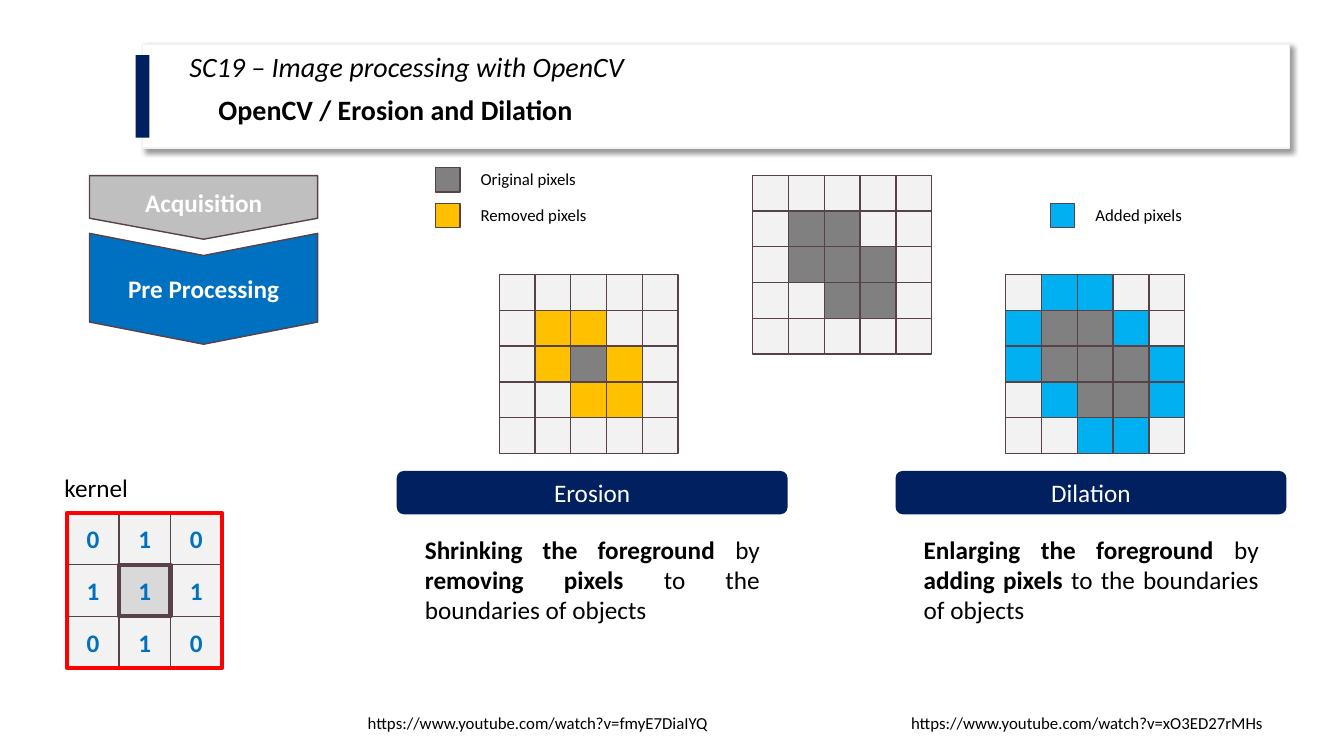
from dataclasses import dataclass
from typing import NamedTuple

from lxml import etree
from pptx import Presentation
from pptx import util as u
from pptx.dml import color
from pptx.enum import shapes, text
from pptx.oxml import ns


@dataclass(frozen=True)
class Theme:
    font: str = "Calibri"
    white: str = "FFFFFF"
    black: str = "000000"
    navy: str = "002060"
    blue: str = "0070C0"
    red: str = "FF0000"
    outline: str = "574249"
    pale: str = "F2F2F2"
    light: str = "D9D9D9"
    silver: str = "BFBFBF"
    original: str = "808080"
    removed: str = "FFC000"
    added: str = "00B0F0"
    title_size: float = 20
    body_size: float = 18
    small_size: float = 12


THEME = Theme()
KIND = shapes.MSO_SHAPE
ALIGN = text.PP_ALIGN
PIXEL_COLORS = {".": THEME.pale, "o": THEME.original, "r": THEME.removed, "a": THEME.added}


class Area(NamedTuple):
    left: float
    top: float
    width: float
    height: float


class Span(NamedTuple):
    words: str
    bold: bool = False
    italic: bool = False


class Label(NamedTuple):
    area: Area
    spans: list[Span]
    size: float = THEME.body_size
    align: ALIGN = ALIGN.LEFT
    spacing: float = 1.0
    grow: bool = True


class Stage(NamedTuple):
    kind: KIND
    area: Area
    point: float
    fill: str
    name: str


class PixelGrid(NamedTuple):
    left: float
    top: float
    rows: list[str]


class LegendEntry(NamedTuple):
    left: float
    top: float
    fill: str
    name: str


class Operation(NamedTuple):
    left: float
    name: str
    spans: list[Span]


def write(frame, spans: list[Span], size: float, ink: str, align, spacing: float = 1.0) -> None:
    para = frame.paragraphs[0]
    para.alignment = align
    para.line_spacing = spacing
    for item in spans:
        span = para.add_run()
        span.text = item.words
        span.font.name = THEME.font
        span.font.size = u.Pt(size)
        span.font.bold = item.bold
        span.font.italic = item.italic
        span.font.color.rgb = color.RGBColor.from_string(ink)


def add_label(page, label: Label) -> None:
    box = page.shapes.add_textbox(*map(u.Pt, label.area))
    frame = box.text_frame
    frame.word_wrap = True
    if label.grow:
        frame.auto_size = text.MSO_AUTO_SIZE.SHAPE_TO_FIT_TEXT
    write(frame, label.spans, label.size, THEME.black, label.align, label.spacing)


def add_block(page, area: Area, fill: str | None, line: str | None = THEME.outline,
              weight: float = 1, kind: KIND = KIND.RECTANGLE):
    block = page.shapes.add_shape(kind, *map(u.Pt, area))
    block.shadow.inherit = False
    if fill:
        block.fill.solid()
        block.fill.fore_color.rgb = color.RGBColor.from_string(fill)
    else:
        block.fill.background()
    if line:
        block.line.color.rgb = color.RGBColor.from_string(line)
        block.line.width = u.Pt(weight)
    else:
        block.line.fill.background()
    return block


def add_caption(block, words: str, ink: str, bold: bool) -> None:
    frame = block.text_frame
    frame.word_wrap = True
    frame.vertical_anchor = text.MSO_ANCHOR.MIDDLE
    write(frame, [Span(words, bold)], THEME.body_size, ink, ALIGN.CENTER)


def cast_shadow(block) -> None:
    effects = block.element.spPr.find(ns.qn("a:effectLst"))
    shadow = etree.SubElement(effects, ns.qn("a:outerShdw"), blurRad=str(u.Pt(4)),
                              dist=str(u.Pt(3)), dir="2700000", algn="tl", rotWithShape="0")
    tint = etree.SubElement(shadow, ns.qn("a:srgbClr"), val=THEME.black)
    etree.SubElement(tint, ns.qn("a:alpha"), val="40000")


def add_stage(page, stage: Stage) -> None:
    arrow = add_block(page, stage.area, stage.fill, kind=stage.kind)
    arrow.adjustments[0] = stage.point
    arrow.rotation = 90
    add_caption(arrow, stage.name, THEME.white, True)
    # Turn the text back to horizontal inside the rotated arrow
    arrow.text_frame._txBody.bodyPr.set("vert", "vert270")


def add_pixels(page, grid: PixelGrid, pitch: float = 25.55) -> None:
    for row, marks in enumerate(grid.rows):
        for column, mark in enumerate(marks):
            area = Area(grid.left + column * pitch, grid.top + row * pitch, pitch, pitch)
            add_block(page, area, PIXEL_COLORS[mark])


def add_kernel(page, left: float, top: float, rows: list[str], pitch: float = 36.9) -> None:
    def add_cell(row: int, column: int, fill: str, weight: float) -> None:
        area = Area(left + column * pitch, top + row * pitch, pitch, pitch)
        cell = add_block(page, area, fill, weight=weight)
        add_caption(cell, rows[row][column], THEME.blue, True)

    middle = (1, 1)
    for row, digits in enumerate(rows):
        for column in range(len(digits)):
            if (row, column) != middle:
                add_cell(row, column, THEME.pale, 1)
    side = pitch * len(rows)
    add_block(page, Area(left, top, side, side), None, THEME.red, 3)
    add_cell(*middle, THEME.light, 3)


def add_legend(page, entry: LegendEntry) -> None:
    add_block(page, Area(entry.left, entry.top, 17.5, 17.5), entry.fill)
    add_label(page, Label(Area(entry.left + 25.2, entry.top - 2.5, 120, 21.8),
                          [Span(entry.name)], THEME.small_size))


def add_operation(page, item: Operation) -> None:
    banner = add_block(page, Area(item.left, 336.4, 279.2, 31), THEME.navy, None,
                       kind=KIND.ROUNDED_RECTANGLE)
    add_caption(banner, item.name, THEME.white, False)
    add_label(page, Label(Area(item.left + 13, 378, 253.4, 72.7), item.spans,
                          align=ALIGN.JUSTIFY))


LABELS = [
    Label(Area(128.2, 34.6, 658.8, 55.4),
          [Span("SC19 – Image processing with OpenCV", italic=True)],
          THEME.title_size, spacing=0.9, grow=False),
    Label(Area(149, 62.6, 494.6, 31.5),
          [Span("OpenCV / Erosion and Dilation", bold=True)], THEME.title_size),
    Label(Area(38.9, 334.1, 92.2, 29.1), [Span("kernel")]),
    Label(Area(255.6, 505.4, 307.4, 21.8),
          [Span("https://www.youtube.com/watch?v=fmyE7DiaIYQ")], THEME.small_size),
    Label(Area(643.7, 505.4, 301, 21.8),
          [Span("https://www.youtube.com/watch?v=xO3ED27rMHs")], THEME.small_size),
]
STAGES = [
    Stage(KIND.CHEVRON, Area(105.8, 124.8, 79.2, 163), 0.2, THEME.blue, "Pre Processing"),
    Stage(KIND.PENTAGON, Area(122.7, 66.7, 45.4, 163), 0.33, THEME.silver, "Acquisition"),
]
GRIDS = [
    PixelGrid(537.7, 125.2, [".....", ".oo..", ".ooo.", "..oo.", "....."]),
    PixelGrid(356.6, 196.2, [".....", ".rr..", ".ror.", "..rr.", "....."]),
    PixelGrid(718.4, 196.2, [".aa..", "aooa.", "aoooa", ".aooa", "..aa."]),
]
LEGEND = [
    LegendEntry(311, 119.6, THEME.original, "Original pixels"),
    LegendEntry(311, 145.2, THEME.removed, "Removed pixels"),
    LegendEntry(750.2, 145.2, THEME.added, "Added pixels"),
]
OPERATIONS = [
    Operation(639.7, "Dilation", [Span("Enlarging the foreground ", True), Span("by "),
                                  Span("adding pixels ", True),
                                  Span("to the boundaries of objects")]),
    Operation(283.4, "Erosion", [Span("Shrinking the foreground ", True), Span("by "),
                                 Span("removing pixels ", True),
                                 Span("to the boundaries of objects")]),
]


def main() -> None:
    deck = Presentation()
    deck.slide_width, deck.slide_height = u.Pt(960), u.Pt(540)
    page = deck.slides.add_slide(deck.slide_layouts[6])

    # Header panel with its accent bar
    cast_shadow(add_block(page, Area(101.8, 31.7, 819.4, 74.2), THEME.white, THEME.pale))
    add_block(page, Area(96.8, 39.4, 9.9, 59), THEME.navy, None)

    # Titles, kernel heading and links
    for label in LABELS:
        add_label(page, label)

    # Processing stages and kernel
    for stage in STAGES:
        add_stage(page, stage)
    add_kernel(page, 48, 366.5, ["010", "111", "010"])

    # Pixel grids, legend and explanations
    for grid in GRIDS:
        add_pixels(page, grid)
    for entry in LEGEND:
        add_legend(page, entry)
    for item in OPERATIONS:
        add_operation(page, item)

    deck.save("out.pptx")


if __name__ == "__main__":
    main()
